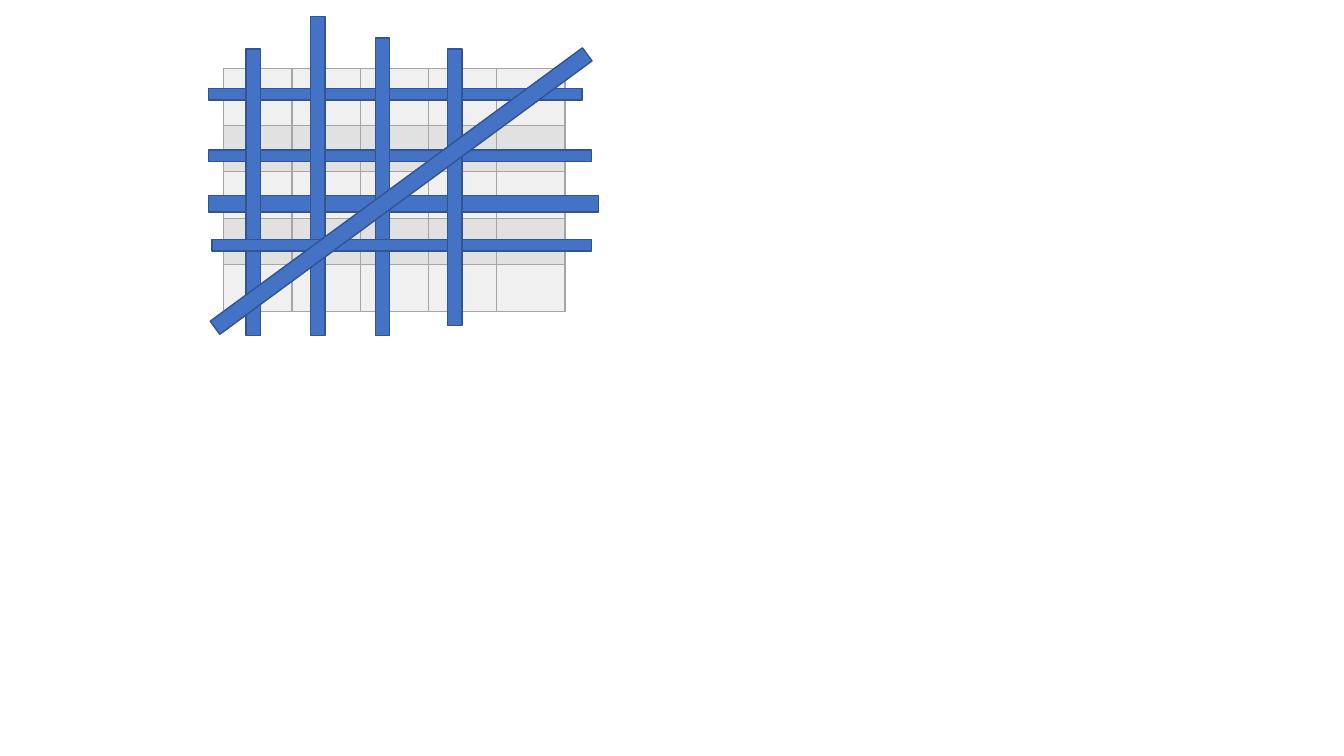
from dataclasses import dataclass

from lxml import etree
from pptx import Presentation
from pptx.dml.color import RGBColor
from pptx.enum.shapes import MSO_SHAPE
from pptx.oxml.ns import qn
from pptx.slide import Slide
from pptx.table import _Cell
from pptx.util import Cm, Pt

RECTANGLE = MSO_SHAPE.RECTANGLE
BLANK_LAYOUT = 6

BAR_BLUE = RGBColor(0x44, 0x72, 0xC4)
BAR_OUTLINE = RGBColor(0x32, 0x54, 0x91)
GRID_GRAY = RGBColor(0xA5, 0xA5, 0xA5)
BAND_FILLS = (RGBColor(0xF0, 0xF0, 0xF0), RGBColor(0xE1, 0xE1, 0xE1))

# Grid measures in centimetres
GRID_LEFT, GRID_TOP = 5.64, 1.73
COLUMN_WIDTHS = [1.72] * 5
ROW_HEIGHTS = [1.43] + [1.17] * 4
BORDER_WIDTH = Pt(1)
BORDER_SIDES = ("a:lnL", "a:lnR", "a:lnT", "a:lnB")


@dataclass(frozen=True)
class Bar:
    """A bar measured in centimetres and turned in degrees."""
    left: float
    top: float
    width: float
    height: float
    rotation: float = 0


THIN, THICK = 0.29, 0.41
COLUMN_BAR = 0.36

# Bars from back to front
BARS = (
    Bar(5.26, 2.23, 9.41, THIN),
    Bar(5.26, 3.78, 9.65, THIN),
    Bar(5.26, 4.93, 9.83, THICK),
    Bar(6.2, 1.24, COLUMN_BAR, 7.21),
    Bar(7.83, 0.41, COLUMN_BAR, 8.04),
    Bar(9.46, 0.96, COLUMN_BAR, 7.49),
    Bar(5.34, 6.04, 9.57, THIN),
    Bar(11.28, 1.24, COLUMN_BAR, 6.97),
    Bar(4.29, 4.61, 11.64, THICK, 323.7),
)


def set_borders(cell: _Cell, color: RGBColor) -> None:
    properties = cell._tc.get_or_add_tcPr()
    for side in BORDER_SIDES:
        line = etree.SubElement(properties, qn(side), w=str(BORDER_WIDTH))
        fill = etree.SubElement(line, qn("a:solidFill"))
        etree.SubElement(fill, qn("a:srgbClr"), val=str(color))


def add_grid(slide: Slide) -> None:
    table = slide.shapes.add_table(
        len(ROW_HEIGHTS), len(COLUMN_WIDTHS), Cm(GRID_LEFT), Cm(GRID_TOP),
        Cm(sum(COLUMN_WIDTHS)), Cm(sum(ROW_HEIGHTS)),
    ).table
    for column, width in zip(table.columns, COLUMN_WIDTHS):
        column.width = Cm(width)
    for index, (row, height) in enumerate(zip(table.rows, ROW_HEIGHTS)):
        row.height = Cm(height)
        for cell in row.cells:
            set_borders(cell, GRID_GRAY)
            cell.fill.solid()
            cell.fill.fore_color.rgb = BAND_FILLS[index % len(BAND_FILLS)]


def add_bar(slide: Slide, bar: Bar) -> None:
    shape = slide.shapes.add_shape(
        RECTANGLE, Cm(bar.left), Cm(bar.top), Cm(bar.width), Cm(bar.height))
    shape.rotation = bar.rotation
    shape.shadow.inherit = False
    shape.fill.solid()
    shape.fill.fore_color.rgb = BAR_BLUE
    shape.line.color.rgb = BAR_OUTLINE
    shape.line.width = Pt(1)


def main() -> None:
    presentation = Presentation()
    presentation.slide_width = Cm(33.87)
    presentation.slide_height = Cm(19.05)
    slide = presentation.slides.add_slide(
        presentation.slide_layouts[BLANK_LAYOUT])

    # Banded grid behind the bars
    add_grid(slide)

    # Bars across rows, columns and the diagonal
    for bar in BARS:
        add_bar(slide, bar)

    presentation.save("out.pptx")


if __name__ == "__main__":
    main()
